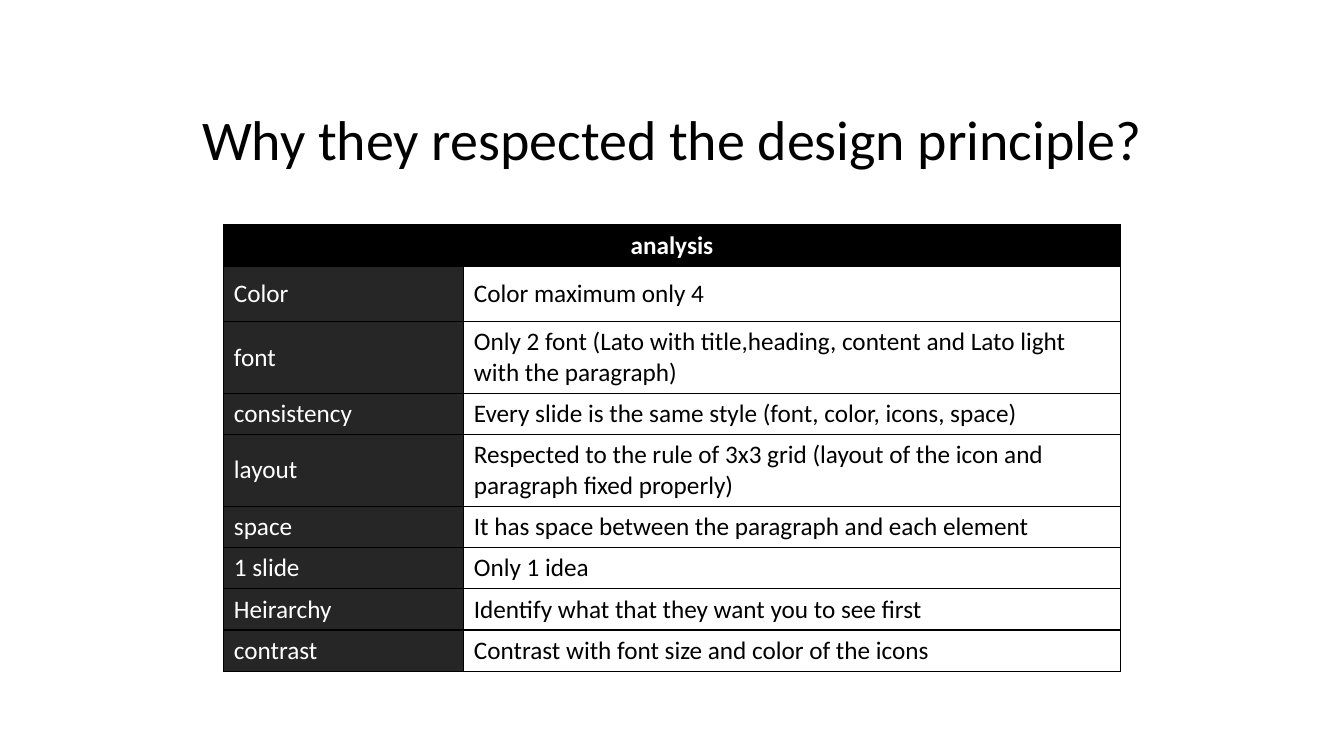
from dataclasses import dataclass
from typing import NamedTuple

from lxml.etree import SubElement
from pptx import Presentation
from pptx.dml.color import RGBColor as RGB
from pptx.enum.text import MSO_ANCHOR as Anchor, PP_ALIGN as Align
from pptx.oxml.ns import qn
from pptx.slide import Slide
from pptx.table import Table, _Cell as Cell
from pptx.text.text import TextFrame
from pptx.util import Inches, Pt


@dataclass(frozen=True)
class Theme:
    """Colours, font and type sizes of the slide."""
    black: RGB = RGB(0x00, 0x00, 0x00)
    dark: RGB = RGB(0x26, 0x26, 0x26)
    white: RGB = RGB(0xFF, 0xFF, 0xFF)
    font: str = "Calibri"
    title: Pt = Pt(40)
    body: Pt = Pt(18)
    rule: Pt = Pt(1)


class Point(NamedTuple):
    """One principle, how it was respected, and its row height."""
    name: str
    reason: str
    height: float = 0.41


THEME = Theme()
LEFT, TOP, HEAD = 2.22, 2.23, 0.41
WIDTHS = (2.38, 6.51)
POINTS = (
    Point("Color", "Color maximum only 4", 0.55),
    Point("font", "Only 2 font (Lato with title,heading, content and "
          "Lato light with the paragraph)", 0.7),
    Point("consistency",
          "Every slide is the same style (font, color, icons, space)"),
    Point("layout", "Respected to the rule of 3x3 grid (layout of the icon "
          "and paragraph fixed properly)", 0.7),
    Point("space", "It has space between the paragraph and each element"),
    Point("1 slide", "Only 1 idea"),
    Point("Heirarchy", "Identify what that they want you to see first"),
    Point("contrast", "Contrast with font size and color of the icons"),
)


def write(frame: TextFrame, text: str, size: Pt, ink: RGB,
          align: Align = Align.LEFT, bold: bool = False) -> None:
    """Put one styled paragraph in a text frame."""
    frame.text = text
    para = frame.paragraphs[0]
    para.alignment = align
    font = para.runs[0].font
    font.name, font.size, font.bold = THEME.font, size, bold
    font.color.rgb = ink


def border(cell: Cell) -> None:
    """Rule all four sides of a cell; lines must precede the fill."""
    props = cell._tc.get_or_add_tcPr()
    for side in ("lnL", "lnR", "lnT", "lnB"):
        line = SubElement(props, qn(f"a:{side}"), w=str(THEME.rule))
        fill = SubElement(line, qn("a:solidFill"))
        SubElement(fill, qn("a:srgbClr"), val=str(THEME.black))


def paint(cell: Cell, text: str, back: RGB, ink: RGB,
          align: Align = Align.LEFT, bold: bool = False) -> None:
    """Style and fill one table cell."""
    border(cell)
    cell.fill.solid()
    cell.fill.fore_color.rgb = back
    cell.vertical_anchor = Anchor.MIDDLE
    write(cell.text_frame, text, THEME.body, ink, align, bold)


def grid(slide: Slide, top: float, widths: tuple[float, ...],
         heights: tuple[float, ...]) -> Table:
    """Add a plain table with the given columns and rows."""
    table = slide.shapes.add_table(
        len(heights), len(widths), Inches(LEFT), Inches(top),
        Inches(sum(widths)), Inches(sum(heights))).table
    table.first_row = table.horz_banding = False
    for col, width in zip(table.columns, widths):
        col.width = Inches(width)
    for row, height in zip(table.rows, heights):
        row.height = Inches(height)
    return table


def add_title(slide: Slide) -> None:
    """Add the question above the tables."""
    box = slide.shapes.add_textbox(
        Inches(1.86), Inches(0.99), Inches(9.61), Inches(0.77))
    box.text_frame.word_wrap = False
    write(box.text_frame, "Why they respected the design principle?",
          THEME.title, THEME.black, Align.CENTER)


def add_points(slide: Slide) -> None:
    """Add the table of principles and reasons."""
    table = grid(slide, TOP + HEAD, WIDTHS, tuple(p.height for p in POINTS))
    for row, point in enumerate(POINTS):
        paint(table.cell(row, 0), point.name, THEME.dark, THEME.white)
        paint(table.cell(row, 1), point.reason, THEME.white, THEME.black)


def add_head(slide: Slide) -> None:
    """Add the one-cell heading table."""
    table = grid(slide, TOP, (sum(WIDTHS),), (HEAD,))
    paint(table.cell(0, 0), "analysis", THEME.black, THEME.white,
          Align.CENTER, True)


def main() -> None:
    """Build and save the slide."""
    deck = Presentation()
    deck.slide_width, deck.slide_height = Inches(13.33), Inches(7.5)
    slide = deck.slides.add_slide(deck.slide_layouts[6])
    add_points(slide)
    add_title(slide)
    add_head(slide)
    deck.save("out.pptx")


main()
